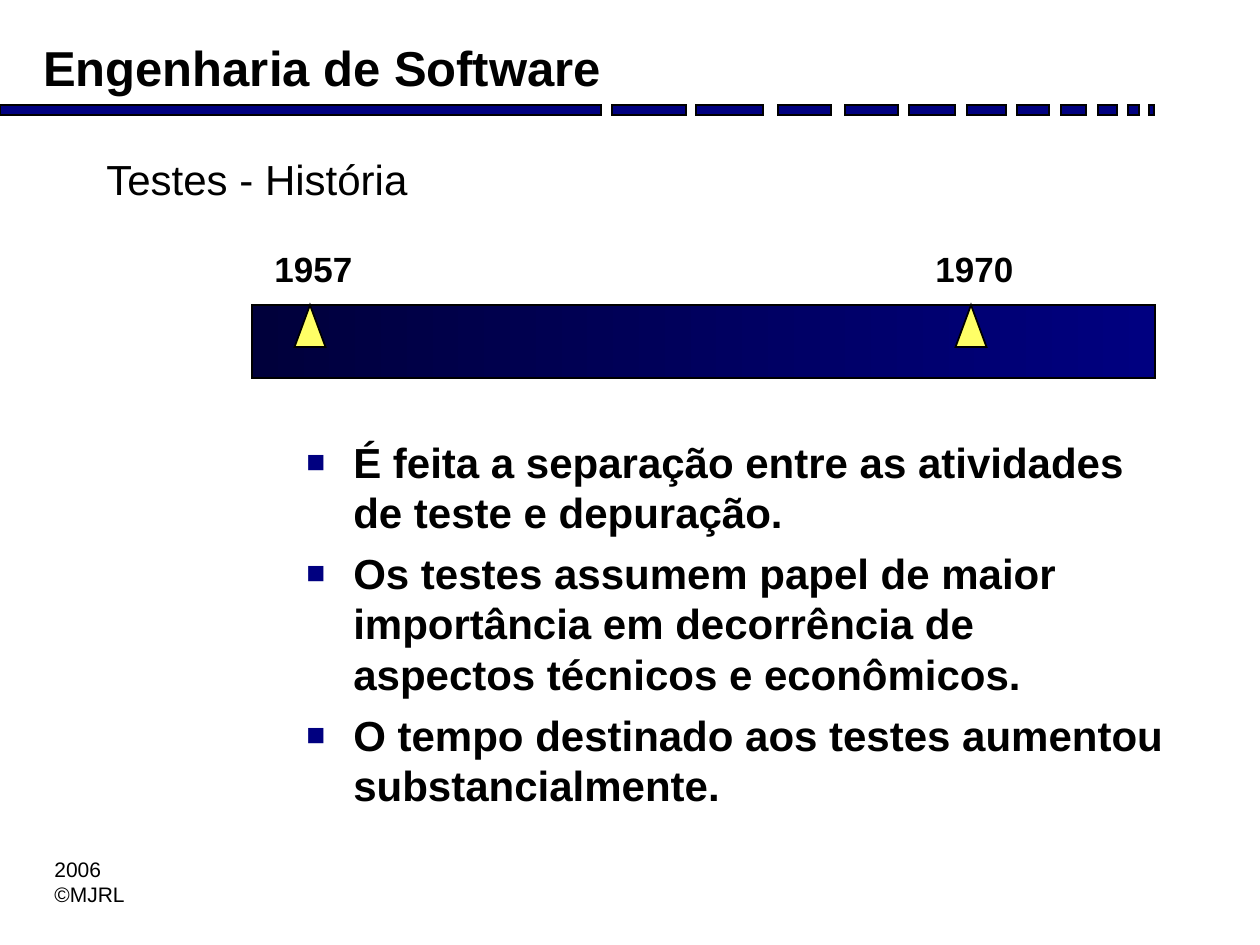
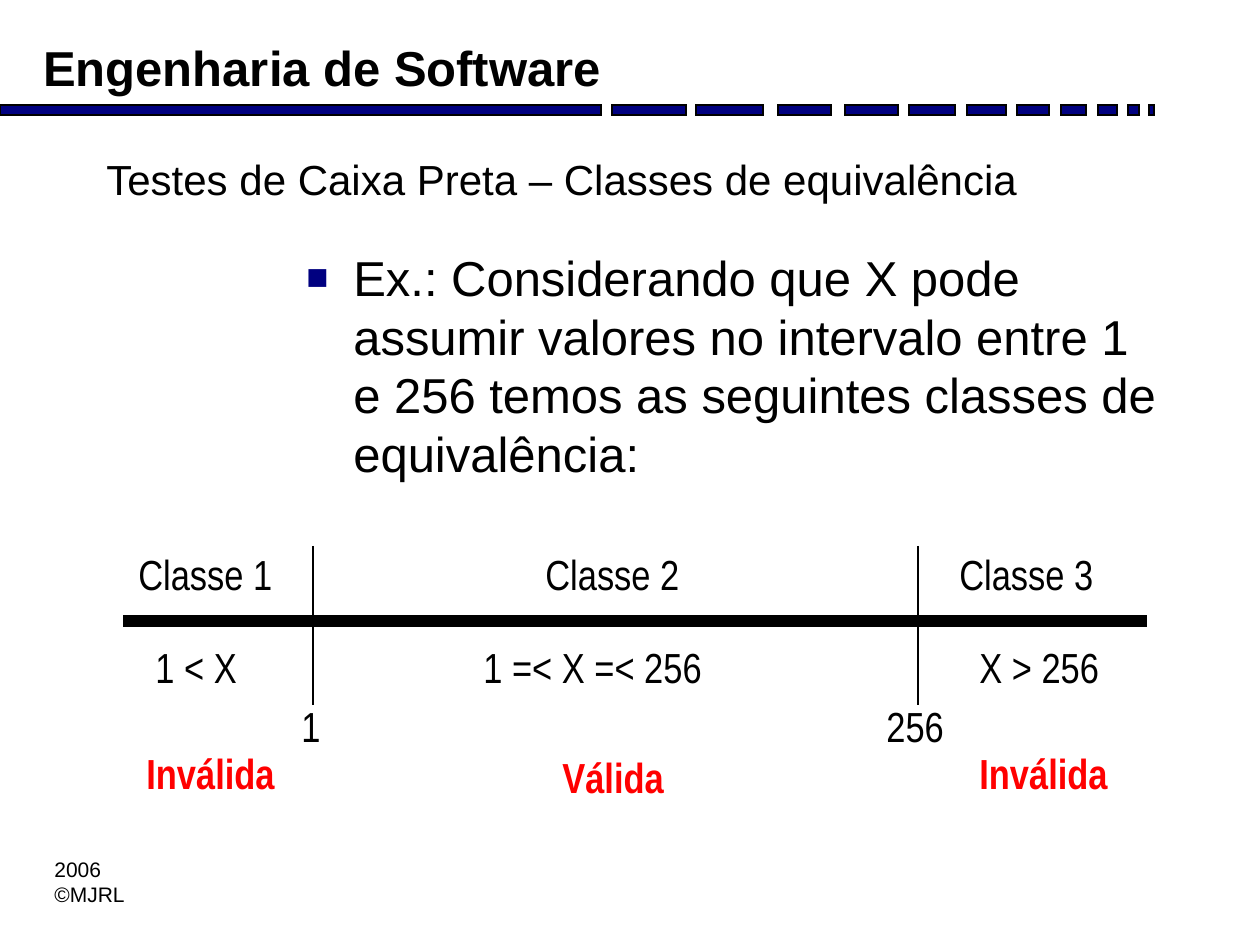
from dataclasses import dataclass

from lxml.etree import SubElement
from pptx import Presentation
from pptx.dml.color import RGBColor as Rgb
from pptx.enum.shapes import MSO_CONNECTOR as Connector, MSO_SHAPE as Shape
from pptx.enum.text import MSO_ANCHOR as Anchor, MSO_AUTO_SIZE as AutoSize
from pptx.oxml.ns import qn
from pptx.util import Emu, Pt


@dataclass(frozen=True)
class Theme:
    navy: Rgb = Rgb(0x00, 0x00, 0x80)
    midnight: Rgb = Rgb(0x00, 0x00, 0x3B)
    black: Rgb = Rgb(0x00, 0x00, 0x00)
    yellow: Rgb = Rgb(0xFF, 0xFF, 0x66)
    red: Rgb = Rgb(0xFF, 0x00, 0x00)
    font: str = "Arial"
    narrow: str = "Arial Narrow"
    course_size: int = 28
    title_size: int = 24
    history_size: int = 24
    example_size: int = 28
    year_size: int = 20
    label_size: int = 24
    footer_size: int = 12


THEME = Theme()
EMU_PER_PX = 914400 / 126
SLIDE_SIZE = (1260, 945)

# Shared by both slides
COURSE = "Engenharia de Software"
FOOTER = ["2006", "©MJRL"]
DASH_TOP, DASH_HEIGHT = 105, 10
DASHES = [  # left, width
    (0, 601), (612, 74), (696, 67), (778, 53), (845, 53), (909, 46),
    (967, 39), (1017, 32), (1061, 25), (1098, 19), (1128, 11), (1149, 5),
]
BODY_LEFT, BODY_WIDTH = 294, 882
BULLET_INDENT = 47

# Slide 1
HISTORY_TITLE = "Testes - História"
HISTORY_POINTS = [
    "É feita a separação entre as atividades de teste e depuração.",
    "Os testes assumem papel de maior importância em decorrência de "
    "aspectos técnicos e econômicos.",
    "O tempo destinado aos testes aumentou substancialmente.",
]
TIMELINE = (252, 305, 903, 73)
MILESTONES = [("1957", 310), ("1970", 971)]  # year, centre
MARKER_WIDTH, MARKER_HEIGHT = 31, 42
YEAR_TOP, YEAR_WIDTH, YEAR_HEIGHT = 241, 104, 55

# Slide 2
CLASSES_TITLE = "Testes de Caixa Preta – Classes de equivalência"
CLASSES_POINTS = [
    "Ex.: Considerando que X pode assumir valores no intervalo entre 1 "
    "e 256 temos as seguintes classes de equivalência:",
]
AXIS = (124, 616, 1022, 10)
LIMIT_TOP, LIMIT_BOTTOM, LIMIT_LABEL_TOP = 546, 705, 694
LIMITS = [("1", 313, 48), ("256", 918, 88)]  # value, centre, label width
LABEL_HEIGHT = 63
NAME_TOP, RANGE_TOP = 542, 635
CLASSES = [  # (text, left, width) of name and range; (text, left, top, width) of verdict
    (("Classe 1", 126, 163), ("1 < X", 143, 112), ("Inválida", 134, 741, 158)),
    (("Classe 2", 533, 163), ("1 =< X =< 256", 471, 250), ("Válida", 550, 745, 132)),
    (("Classe 3", 947, 163), ("X > 256", 967, 150), ("Inválida", 967, 741, 158)),
]


def px(length):
    return Emu(round(length * EMU_PER_PX))


def add_text(slide, place, lines, size, bold=False, color=THEME.black,
             font=THEME.font, wrap=True):
    box = slide.shapes.add_textbox(*map(px, place))
    frame = box.text_frame
    frame.word_wrap = wrap
    frame.auto_size = AutoSize.NONE
    frame.vertical_anchor = Anchor.TOP
    frame.text = "\n".join(lines)
    for para in frame.paragraphs:
        for span in para.runs:
            span.font.name = font
            span.font.size = Pt(size)
            span.font.bold = bold
            span.font.color.rgb = color
    return box


def add_solid(slide, kind, place, color):
    """Add a filled shape with a thin black outline and sharp corners."""
    shape = slide.shapes.add_shape(kind, *map(px, place))
    shape.shadow.inherit = False
    shape.fill.solid()
    shape.fill.fore_color.rgb = color
    shape.line.color.rgb = THEME.black
    shape.line.width = Pt(1)
    SubElement(shape.line._get_or_add_ln(), qn("a:miter"), lim="800000")
    return shape


def add_line(slide, start, end):
    line = slide.shapes.add_connector(Connector.STRAIGHT, *map(px, start + end))
    line.line.color.rgb = THEME.black
    line.line.width = Pt(1)
    SubElement(line._element.spPr, qn("a:effectLst"))


def add_bullet(para):
    """Give the paragraph a hanging navy square."""
    props = para._p.get_or_add_pPr()
    props.set("marL", str(px(BULLET_INDENT)))
    props.set("indent", str(-px(BULLET_INDENT)))
    color = SubElement(props, qn("a:buClr"))
    SubElement(color, qn("a:srgbClr"), val=str(THEME.navy))
    SubElement(props, qn("a:buSzPct"), val="75000")
    SubElement(props, qn("a:buFont"), typeface=THEME.font)
    SubElement(props, qn("a:buChar"), char="■")


def add_bullets(slide, points, top, height, size, bold=False):
    place = (BODY_LEFT, top, BODY_WIDTH, height)
    box = add_text(slide, place, points, size, bold)
    for index, para in enumerate(box.text_frame.paragraphs):
        add_bullet(para)
        if index:
            para.space_before = Pt(6)


def add_label(slide, text, left, top, width, **style):
    add_text(slide, (left, top, width, LABEL_HEIGHT), [text], THEME.label_size,
             font=THEME.narrow, wrap=False, **style)


def add_course_slide(deck, title):
    """Add a slide with the course name, dashed band, footer and title."""
    slide = deck.slides.add_slide(deck.slide_layouts[6])
    for left, width in DASHES:
        add_solid(slide, Shape.RECTANGLE, (left, DASH_TOP, width, DASH_HEIGHT), THEME.navy)
    add_text(slide, (31, 31, 609, 70), [COURSE], THEME.course_size, bold=True)
    add_text(slide, (42, 850, 98, 63), FOOTER, THEME.footer_size, wrap=False)
    add_text(slide, (94, 147, 1071, 95), [title], THEME.title_size)
    return slide


def build_history(deck):
    slide = add_course_slide(deck, HISTORY_TITLE)
    add_bullets(slide, HISTORY_POINTS, 430, 388, THEME.history_size, bold=True)
    bar = add_solid(slide, Shape.RECTANGLE, TIMELINE, THEME.navy)
    bar.fill.gradient()
    bar.fill.gradient_angle = 0
    for stop, color in zip(bar.fill.gradient_stops, (THEME.midnight, THEME.navy)):
        stop.color.rgb = color
    for year, center in MILESTONES:
        year_place = (center + 4 - YEAR_WIDTH / 2, YEAR_TOP, YEAR_WIDTH, YEAR_HEIGHT)
        add_text(slide, year_place, [year], THEME.year_size, bold=True, wrap=False)
        marker = (center - MARKER_WIDTH / 2, TIMELINE[1], MARKER_WIDTH, MARKER_HEIGHT)
        add_solid(slide, Shape.ISOSCELES_TRIANGLE, marker, THEME.yellow)


def build_classes(deck):
    slide = add_course_slide(deck, CLASSES_TITLE)
    add_bullets(slide, CLASSES_POINTS, 241, 271, THEME.example_size)
    add_solid(slide, Shape.RECTANGLE, AXIS, THEME.black)
    for value, center, width in LIMITS:
        add_line(slide, (center, LIMIT_TOP), (center, LIMIT_BOTTOM))
        add_label(slide, value, center - width / 2, LIMIT_LABEL_TOP, width)
    for (name, name_left, name_width), (span, span_left, span_width), verdict in CLASSES:
        add_label(slide, name, name_left, NAME_TOP, name_width)
        add_label(slide, span, span_left, RANGE_TOP, span_width)
        add_label(slide, *verdict, bold=True, color=THEME.red)


def main():
    deck = Presentation()
    deck.slide_width, deck.slide_height = map(px, SLIDE_SIZE)
    build_history(deck)
    build_classes(deck)
    deck.save("out.pptx")


if __name__ == "__main__":
    main()
